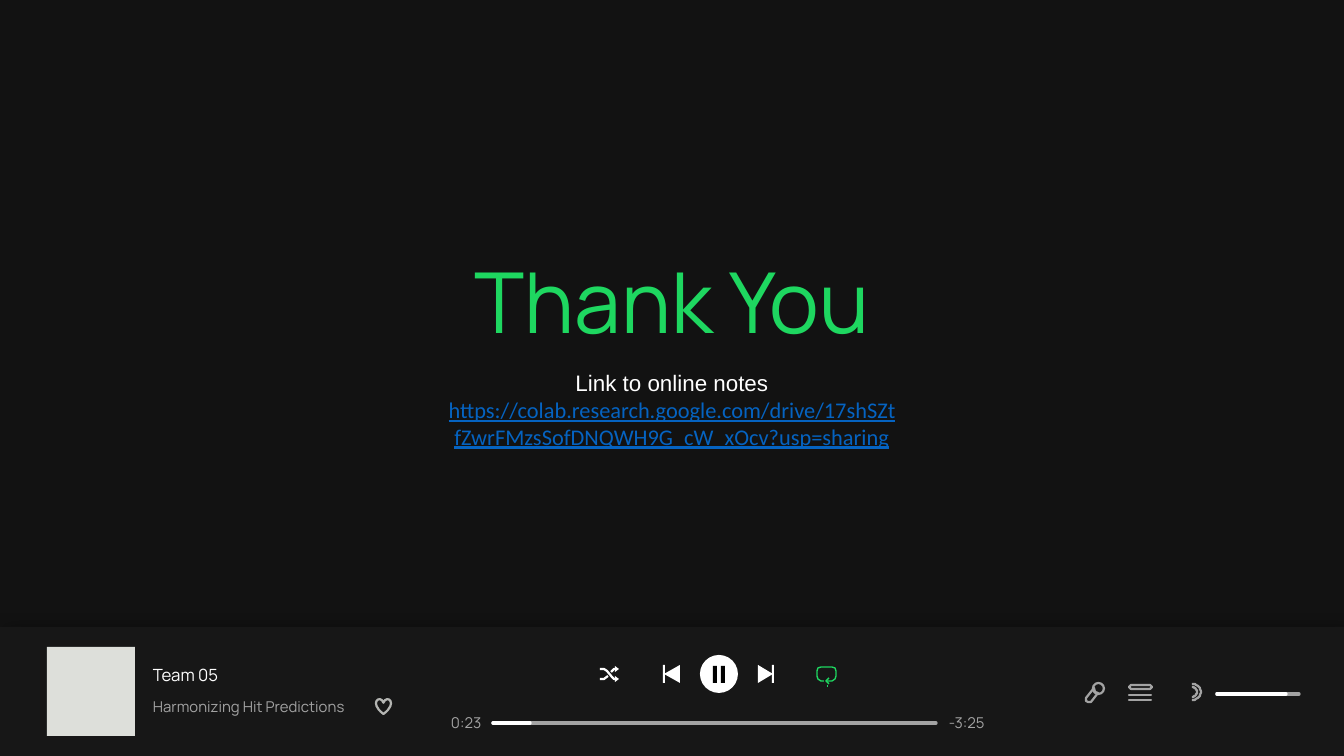
import math
from dataclasses import dataclass

import lxml.etree
import pptx
import pptx.dml.color
import pptx.enum.shapes
import pptx.enum.text
import pptx.oxml.ns
import pptx.util

RGBColor = pptx.dml.color.RGBColor
BACK = RGBColor(0x12, 0x12, 0x12)
PANEL = RGBColor(0x17, 0x17, 0x17)
COVER = RGBColor(0xDD, 0xDF, 0xDA)
WHITE = RGBColor(0xFF, 0xFF, 0xFF)
BLACK = RGBColor(0, 0, 0)
GREY = RGBColor(0xA3, 0xA3, 0xA3)
PALE = RGBColor(0xB4, 0xB5, 0xB2)
GREEN = RGBColor(0x1E, 0xD7, 0x60)
BLUE = RGBColor(0x05, 0x63, 0xC1)
SCALE = 914400 / 134.4
KIND = pptx.enum.shapes.MSO_SHAPE
LEFT = pptx.enum.text.PP_ALIGN.LEFT
MID = pptx.enum.text.PP_ALIGN.CENTER
qn = pptx.oxml.ns.qn


@dataclass
class Run:
    text: str
    size: int
    color: RGBColor
    font: str = "Manrope"
    under: bool = False


@dataclass
class Label:
    box: tuple
    runs: list
    align: int = LEFT
    pad: tuple = (9, 5)


@dataclass
class Block:
    kind: int
    box: tuple
    fill: RGBColor | None = None
    line: RGBColor | None = None
    width: float = 1.2


@dataclass
class Trace:
    dots: list
    fill: RGBColor | None = None
    line: RGBColor | None = None
    width: float = 1.2
    closed: bool = False


@dataclass
class Track:
    start: int
    end: int
    top: int
    color: RGBColor = GREY
    width: float = 1.8


def px(length: float) -> int:
    return round(length * SCALE)


def style(shape, item) -> None:
    shape.shadow.inherit = False
    if item.fill is None:
        shape.fill.background()
    else:
        shape.fill.solid()
        shape.fill.fore_color.rgb = item.fill
    if item.line is None:
        shape.line.fill.background()
    else:
        shape.line.color.rgb = item.line
        shape.line.width = pptx.util.Pt(item.width)


def add_block(slide, item: Block):
    shape = slide.shapes.add_shape(item.kind, *map(px, item.box))
    style(shape, item)
    return shape


def add_trace(slide, item: Trace) -> None:
    pen = slide.shapes.build_freeform(*item.dots[0], scale=SCALE)
    pen.add_line_segments(item.dots[1:], close=item.closed)
    style(pen.convert_to_shape(), item)


def add_track(slide, item: Track) -> None:
    line = slide.shapes.add_connector(
        pptx.enum.shapes.MSO_CONNECTOR.STRAIGHT,
        px(item.start), px(item.top), px(item.end), px(item.top))
    line.line.color.rgb = item.color
    line.line.width = pptx.util.Pt(item.width)
    line._element.spPr.find(qn("a:ln")).set("cap", "rnd")
    lxml.etree.SubElement(line._element.spPr, qn("a:effectLst"))


def add_label(slide, item: Label) -> None:
    frame = slide.shapes.add_textbox(*map(px, item.box)).text_frame
    frame.word_wrap = True
    frame.margin_left = frame.margin_right = px(item.pad[0])
    frame.margin_top = frame.margin_bottom = px(item.pad[1])
    para = frame.paragraphs[0]
    para.alignment = item.align
    for count, part in enumerate(item.runs):
        if count:
            para.add_line_break()
        run = para.add_run()
        run.text = part.text
        run.font.size = pptx.util.Pt(part.size)
        run.font.name = part.font
        run.font.color.rgb = part.color
        run.font.underline = part.under


def add_shade(shape) -> None:
    glow = lxml.etree.SubElement(
        shape._element.spPr.find(qn("a:effectLst")), qn("a:outerShdw"),
        blurRad=str(pptx.util.Pt(10)), dist=str(pptx.util.Pt(3)),
        dir="2700000", algn="tl", rotWithShape="0")
    tint = lxml.etree.SubElement(glow, qn("a:srgbClr"), val=str(BLACK))
    lxml.etree.SubElement(tint, qn("a:alpha"), val="60000")


def wave(x: int, y: int, wide: int, high: int) -> list:
    turns = [math.radians(step) for step in range(-90, 91, 10)]
    return [(x + wide * math.cos(t), y + high * math.sin(t)) for t in turns]


LABELS = [
    Label((436, 245, 472, 112), [Run("Thank You", 45, GREEN)], MID),
    Label((144, 693, 267, 28), [Run("Harmonizing Hit Predictions", 8, GREY)]),
    Label((144, 660, 211, 31), [Run("Team 05", 9, WHITE)]),
    Label((442, 709, 52, 28), [Run("0:23", 8, GREY)]),
    Label((940, 709, 69, 28), [Run("-3:25", 8, GREY)]),
    Label((432, 356, 480, 156), [
        Run("Link to online notes", 12, WHITE, "Arial"),
        Run("https://colab.research.google.com/drive/"
            "17shSZtfZwrFMzsSofDNQWH9G_cW_xOcv?usp=sharing",
            12, BLUE, "Calibri", True)], MID, (15, 13)),
]
BLOCKS = [
    Block(KIND.RECTANGLE, (47, 647, 88, 89), COVER),
    Block(KIND.HEART, (376, 699, 15, 15), None, PALE),
    Block(KIND.OVAL, (700, 655, 38, 38), WHITE),
    Block(KIND.RECTANGLE, (713, 666, 4, 17), BLACK),
    Block(KIND.RECTANGLE, (721, 666, 4, 17), BLACK),
    Block(KIND.RECTANGLE, (663, 665, 2, 18), WHITE),
    Block(KIND.RECTANGLE, (772, 665, 2, 18), WHITE),
    Block(KIND.OVAL, (827, 685, 1, 2), GREEN),
    Block(KIND.OVAL, (1093, 683, 11, 11), None, GREY),
]
TRACES = [
    Trace([(664, 674), (680, 665), (680, 683)], WHITE, closed=True),
    Trace([(773, 674), (758, 665), (758, 683)], WHITE, closed=True),
    Trace([(824, 681), (821, 681), (818, 679), (817, 676), (817, 671),
           (818, 668), (821, 667), (832, 667), (835, 668), (836, 671),
           (836, 676), (835, 679), (832, 681), (826, 681)],
          None, GREEN, 0.75),
    Trace([(829, 678), (826, 681), (829, 684)], None, GREEN, 0.75),
    Trace([(600, 669), (604, 669), (607, 671), (612, 677), (614, 679),
           (617, 679)], None, WHITE),
    Trace([(611, 672), (614, 669), (617, 669)], None, WHITE),
    Trace([(600, 679), (604, 679), (608, 676)], None, WHITE),
    Trace([(1094, 688), (1086, 698), (1086, 701), (1088, 702), (1091, 702),
           (1098, 693), (1095, 692)], None, GREY, closed=True),
    Trace([(1131, 685), (1150, 685), (1152, 687), (1150, 689), (1131, 689),
           (1129, 687)], None, GREY, closed=True),
    Trace(wave(1192, 692, 9, 8), None, GREY),
    Trace(wave(1192, 692, 5, 5), None, GREY),
] + [Trace([(615, y - 3), (619, y), (615, y + 3)], WHITE, closed=True)
     for y in (669, 679)]
TRACKS = [
    Track(493, 936, 723), Track(493, 530, 723, WHITE),
    Track(1129, 1151, 695, width=1.2), Track(1129, 1151, 700, width=1.2),
    Track(1217, 1299, 694), Track(1217, 1286, 694, WHITE),
]


def main() -> None:
    deck = pptx.Presentation()
    deck.slide_width, deck.slide_height = px(1344), px(756)
    slide = deck.slides.add_slide(deck.slide_layouts[6])
    slide.background.fill.solid()
    slide.background.fill.fore_color.rgb = BACK
    add_shade(add_block(slide, Block(KIND.RECTANGLE, (0, 627, 1344, 129), PANEL)))
    for draw, items in ((add_block, BLOCKS), (add_trace, TRACES),
                        (add_track, TRACKS), (add_label, LABELS)):
        for item in items:
            draw(slide, item)
    deck.save("out.pptx")


if __name__ == "__main__":
    main()
